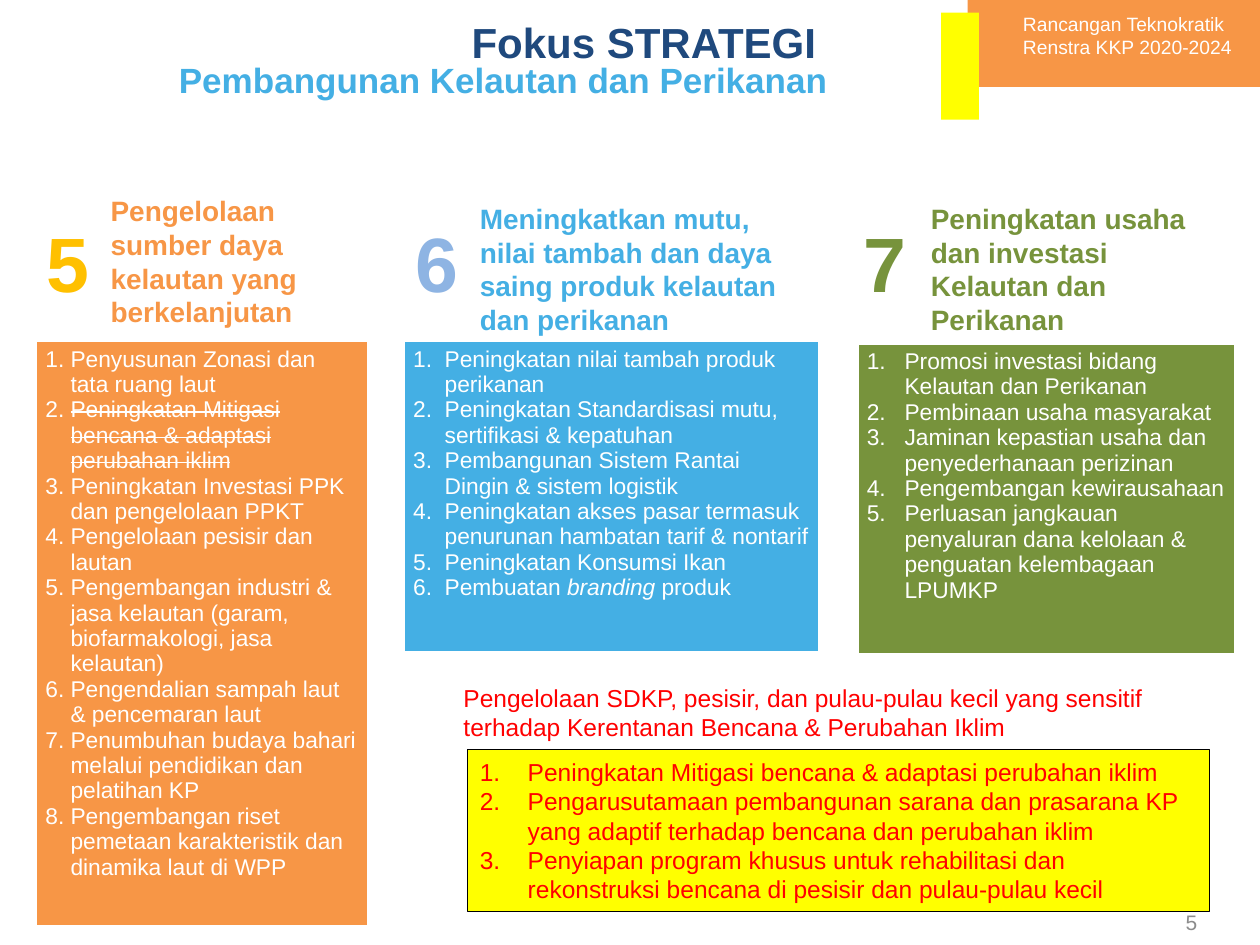
from pptx import Presentation
from pptx.dml.color import RGBColor
from pptx.enum.shapes import MSO_SHAPE
from pptx.enum.text import MSO_ANCHOR, MSO_AUTO_SIZE, PP_ALIGN
from pptx.oxml.ns import qn
from pptx.util import Inches, Pt
from lxml import etree

RECT = MSO_SHAPE.RECTANGLE
TOP, MIDDLE = MSO_ANCHOR.TOP, MSO_ANCHOR.MIDDLE
LEFT, CENTER, RIGHT = PP_ALIGN.LEFT, PP_ALIGN.CENTER, PP_ALIGN.RIGHT

WHITE = RGBColor(0xFF, 0xFF, 0xFF)
BLACK = RGBColor(0, 0, 0)
GRAY = RGBColor(0x8C, 0x8C, 0x8C)
RED = RGBColor(0xFF, 0, 0)
YELLOW = RGBColor(0xFF, 0xFF, 0)
ORANGE = RGBColor(0xF7, 0x96, 0x46)
GOLD = RGBColor(0xFF, 0xC0, 0)
SKY = RGBColor(0x44, 0xAF, 0xE4)
PALE = RGBColor(0x8E, 0xB4, 0xE3)
GREEN = RGBColor(0x77, 0x93, 0x3C)
NAVY = RGBColor(0x1F, 0x49, 0x7D)

STRIKE, ITALIC = "strike", "italic"

# number, its colour, its left; heading, its box; theme colour, list box, indent, items
FOCUS = [
    ("5", GOLD, 0.27,
     "Pengelolaan sumber daya kelautan yang berkelanjutan", (0.78, 1.49, 2.35, 1.18),
     ORANGE, (0.29, 2.71, 2.63, 4.62), 0.2,
     ["Penyusunan Zonasi dan tata ruang laut",
      [("Peningkatan Mitigasi bencana & adaptasi perubahan iklim", STRIKE)],
      "Peningkatan Investasi PPK dan pengelolaan PPKT",
      "Pengelolaan pesisir dan lautan",
      "Pengembangan industri & jasa kelautan (garam, biofarmakologi, jasa kelautan)",
      "Pengendalian sampah laut & pencemaran laut",
      "Penumbuhan budaya bahari melalui pendidikan dan pelatihan KP",
      "Pengembangan riset pemetaan karakteristik dan dinamika laut di WPP"]),
    ("6", PALE, 3.2,
     "Meningkatkan mutu, nilai tambah dan daya saing produk kelautan dan perikanan",
     (3.71, 1.55, 2.64, 1.18),
     SKY, (3.21, 2.71, 3.29, 2.46), 0.25,
     ["Peningkatan nilai tambah produk perikanan",
      "Peningkatan Standardisasi mutu, sertifikasi & kepatuhan",
      "Pembangunan Sistem Rantai Dingin & sistem logistik",
      "Peningkatan akses pasar termasuk penurunan hambatan tarif & nontarif",
      "Peningkatan Konsumsi Ikan",
      [("Pembuatan ", None), ("branding ", ITALIC), ("produk", None)]]),
    ("7", GREEN, 6.75,
     "Peningkatan usaha dan investasi Kelautan dan Perikanan", (7.29, 1.55, 2.5, 1.18),
     GREEN, (6.81, 2.73, 2.99, 2.46), 0.3,
     ["Promosi investasi bidang Kelautan dan Perikanan",
      "Pembinaan usaha masyarakat",
      "Jaminan kepastian usaha dan penyederhanaan perizinan",
      "Pengembangan kewirausahaan",
      "Perluasan jangkauan penyaluran dana kelolaan & penguatan kelembagaan LPUMKP"]),
]

CLIMATE = [
    "Peningkatan Mitigasi bencana & adaptasi perubahan iklim",
    "Pengarusutamaan pembangunan sarana dan prasarana KP yang adaptif terhadap "
    "bencana dan perubahan iklim",
    "Penyiapan program khusus untuk rehabilitasi dan rekonstruksi bencana di pesisir "
    "dan pulau-pulau kecil",
]


class Deck:
    def __init__(self, font):
        self.font = font
        self.prs = Presentation()
        self.prs.slide_width, self.prs.slide_height = Inches(10), Inches(7.5)
        self.slide = self.prs.slides.add_slide(self.prs.slide_layouts[5])

    def style(self, para, size, color, bold=False, align=LEFT, space=None):
        para.alignment = align
        if space:
            para.line_spacing = space
        font = para.font
        font.name, font.size, font.bold = self.font, Pt(size), bold
        font.color.rgb = color

    def fill_text(self, frame, items, size, color, indent=None, **look):
        """Fill a frame with one paragraph per item, numbered if indented."""
        frame.word_wrap = True
        for i, item in enumerate(items):
            para = frame.paragraphs[0] if i == 0 else frame.add_paragraph()
            if indent:
                props = para._p.get_or_add_pPr()
                props.set("marL", str(Inches(indent)))
                props.set("indent", str(-Inches(indent)))
                etree.SubElement(props, qn("a:buFont"), typeface="+mj-lt")
                etree.SubElement(props, qn("a:buAutoNum"), type="arabicPeriod")
            for text, mark in [(item, None)] if isinstance(item, str) else item:
                run = para.add_run()
                run.text = text
                if mark == ITALIC:
                    run.font.italic = True
                elif mark == STRIKE:
                    run._r.get_or_add_rPr().set("strike", "sngStrike")
            self.style(para, size, color, **look)

    def title(self, box, lines):
        shape = self.slide.shapes.title
        shape.left, shape.top, shape.width, shape.height = map(Inches, box)
        frame = shape.text_frame
        frame.auto_size, frame.vertical_anchor = MSO_AUTO_SIZE.NONE, TOP
        for i, (text, size, color) in enumerate(lines):
            para = frame.paragraphs[0] if i == 0 else frame.add_paragraph()
            para.text = text
            self.style(para, size, color, bold=True, align=RIGHT, space=0.8)

    def text(self, box, items, size, color, anchor=TOP, **look):
        frame = self.slide.shapes.add_textbox(*map(Inches, box)).text_frame
        frame.vertical_anchor = anchor
        self.fill_text(frame, items, size, color, **look)

    def rect(self, box, fill, line=None):
        shape = self.slide.shapes.add_shape(RECT, *map(Inches, box))
        shape.shadow.inherit = False
        shape.fill.solid()
        shape.fill.fore_color.rgb = fill
        if line is None:
            shape.line.fill.background()
        else:
            shape.line.color.rgb = line
            shape.line.width = Pt(0.25)
        return shape

    def table(self, box, fill, items, indent):
        table = self.slide.shapes.add_table(1, 1, *map(Inches, box)).table
        table.first_row = table.horz_banding = False
        cell = table.cell(0, 0)
        cell.fill.solid()
        cell.fill.fore_color.rgb = fill
        cell.margin_left = cell.margin_right = Inches(0.07)
        cell.margin_top = cell.margin_bottom = Inches(0.04)
        self.fill_text(cell.text_frame, items, 13, WHITE, indent)


def main():
    deck = Deck("Arial")
    deck.title((1.25, 0.16, 5.42, 0.69), [
        ("Fokus STRATEGI ", 24, NAVY),
        ("Pembangunan Kelautan dan Perikanan", 20, SKY),
    ])
    deck.text((7.27, 7.12, 2.33, 0.4), ["5"], 12, GRAY, MIDDLE, align=RIGHT)

    deck.rect((7.68, 0, 2.32, 0.69), ORANGE)
    deck.rect((7.47, 0.1, 0.3, 0.85), YELLOW)
    deck.text((8.02, 0.05, 1.95, 0.47),
              ["Rancangan Teknokratik", "Renstra KKP 2020-2024"], 11, WHITE)

    for num, tint, left, head, place, color, box, indent, items in FOCUS:
        deck.table(box, color, items, indent)
        deck.text((left, 1.8, 0.54, 0.69), [num], 44, tint,
                  bold=True, align=CENTER, space=0.8)
        deck.text(place, [head], 16, color, bold=True)

    deck.text((3.58, 5.37, 6.12, 0.57),
              ["Pengelolaan SDKP, pesisir, dan pulau-pulau kecil yang sensitif "
               "terhadap Kerentanan Bencana & Perubahan Iklim"], 14, RED)
    panel = deck.rect((3.71, 5.95, 5.89, 1.28), YELLOW, BLACK)
    panel.text_frame.vertical_anchor = MIDDLE
    deck.fill_text(panel.text_frame, CLIMATE, 14, RED, indent=0.38)

    deck.prs.save("out.pptx")


if __name__ == "__main__":
    main()
